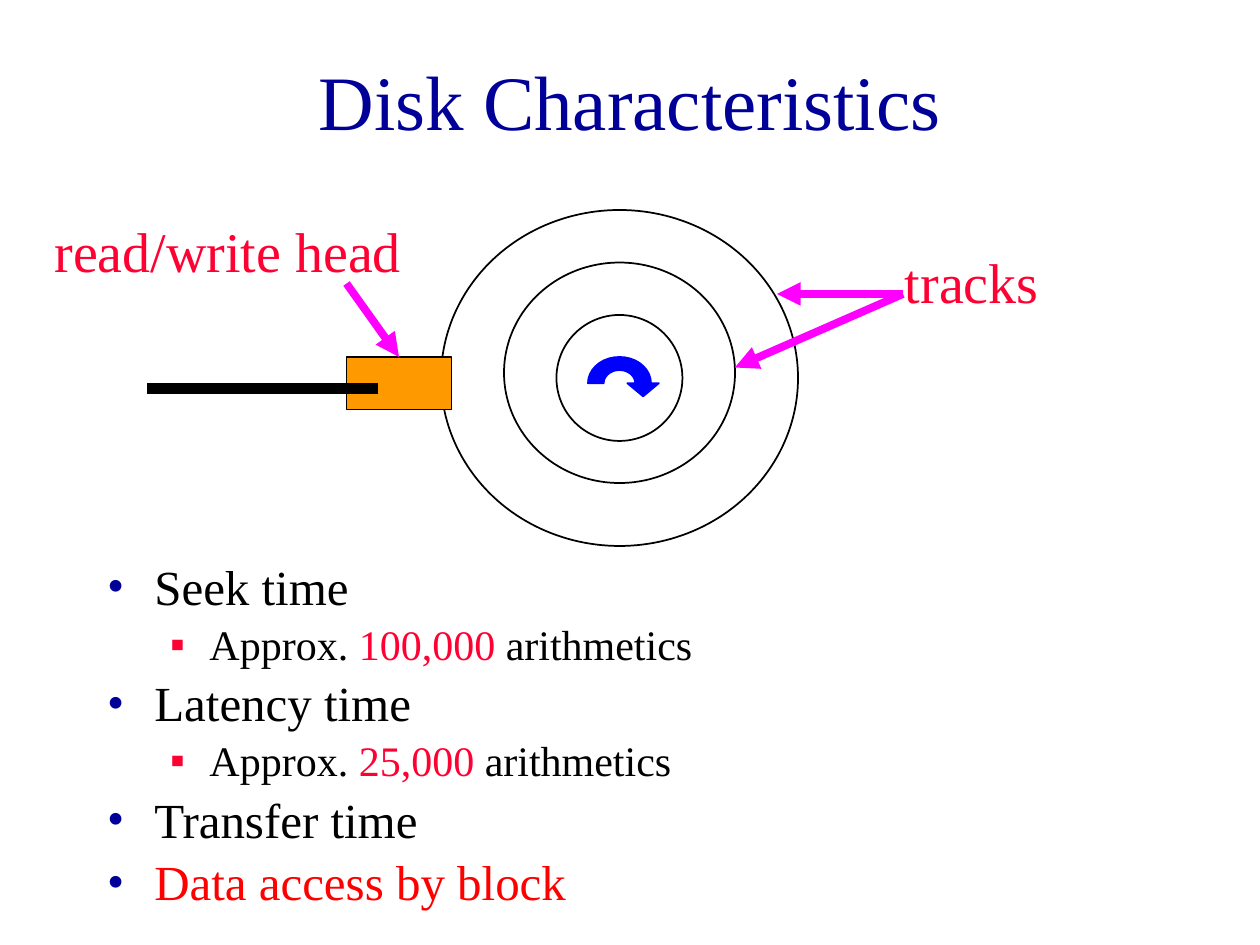
import math
from dataclasses import dataclass

import pptx
import pptx.dml.color
import pptx.enum.shapes
import pptx.enum.text
import pptx.oxml
import pptx.oxml.ns
import pptx.util

Pt = pptx.util.Pt
SHAPE = pptx.enum.shapes.MSO_SHAPE


@dataclass(frozen=True)
class Theme:
    font: str = "Times New Roman"
    navy: str = "000099"
    black: str = "000000"
    crimson: str = "FF0033"
    red: str = "FF0000"
    orange: str = "FF9900"
    magenta: str = "FF00FF"
    blue: str = "0000FF"
    title: int = 44
    label: int = 32
    levels: tuple = (28, 24)
    bullets: tuple = (("•", navy), ("▪", crimson))
    outline: float = 1
    pointer: float = 4.5
    arm: float = 6


T = Theme()

ITEMS = [
    (0, [("Seek time", T.black)]),
    (1, [("Approx. ", T.black), ("100,000 ", T.crimson), ("arithmetics", T.black)]),
    (0, [("Latency time", T.black)]),
    (1, [("Approx. ", T.black), ("25,000 ", T.crimson), ("arithmetics", T.black)]),
    (0, [("Transfer time", T.black)]),
    (0, [("Data access by block", T.red)]),
]


def rgb(color):
    return pptx.dml.color.RGBColor.from_string(color)


def add_xml(parent, tag, **attrs):
    el = pptx.oxml.parse_xml(f"<a:{tag} {pptx.oxml.ns.nsdecls('a')}/>")
    for name, value in attrs.items():
        el.set(name, value)
    parent.append(el)
    return el


def place(sp, box):
    sp.left, sp.top, sp.width, sp.height = map(Pt, box)


def set_font(font, size, color=None):
    font.name = T.font
    font.size = Pt(size)
    if color:
        font.color.rgb = rgb(color)


def paint(sp, fill, line):
    sp.shadow.inherit = False
    if fill:
        sp.fill.solid()
        sp.fill.fore_color.rgb = rgb(fill)
    else:
        sp.fill.background()
    sp.line.color.rgb = rgb(line)
    sp.line.width = Pt(T.outline)


def add_shape(s, kind, box, fill=None):
    paint(s.shapes.add_shape(kind, *map(Pt, box)), fill, T.black)


def add_line(s, start, end, color, width, arrow=False):
    sp = s.shapes.add_connector(
        pptx.enum.shapes.MSO_CONNECTOR.STRAIGHT, *map(Pt, (*start, *end)))
    sp.line.color.rgb = rgb(color)
    sp.line.width = Pt(width)
    if arrow:
        add_xml(sp.line._get_or_add_ln(), "tailEnd", type="triangle")
    add_xml(sp._element.spPr, "effectLst")


def add_label(s, text, box):
    tf = s.shapes.add_textbox(*map(Pt, box)).text_frame
    tf.word_wrap = True
    p = tf.paragraphs[0]
    p.text = text
    set_font(p.font, T.label, T.crimson)


def add_title(s, text, box):
    sp = s.shapes.title
    place(sp, box)
    tf = sp.text_frame
    tf.text = text
    tf.vertical_anchor = pptx.enum.text.MSO_ANCHOR.MIDDLE
    tf.auto_size = pptx.enum.text.MSO_AUTO_SIZE.NONE
    set_font(tf.paragraphs[0].font, T.title, T.navy)


def add_list(s, items, box):
    sp = s.placeholders[1]
    place(sp, box)
    tf = sp.text_frame
    tf.auto_size = pptx.enum.text.MSO_AUTO_SIZE.NONE
    for i, (level, runs) in enumerate(items):
        p = tf.add_paragraph() if i else tf.paragraphs[0]
        p.level = level
        char, color = T.bullets[level]
        pPr = p._p.get_or_add_pPr()
        add_xml(add_xml(pPr, "buClr"), "srgbClr", val=color)
        add_xml(pPr, "buFont", typeface=T.font)
        add_xml(pPr, "buChar", char=char)
        p.line_spacing = 0.9
        if i == 0:
            p.space_before = Pt(0)
        set_font(p.font, T.levels[level])
        for text, run_color in runs:
            r = p.add_run()
            r.text = text
            r.font.color.rgb = rgb(run_color)


def add_rotation_arrow(s, cx, cy):
    def arc(rx, ry, angles):
        return [(cx + rx * math.cos(math.radians(a)),
                 cy - ry * math.sin(math.radians(a))) for a in angles]

    points = arc(9, 7.5, range(0, 181, 10)) + arc(18, 15, range(180, -1, -10))
    points += [(cx + 22.5, cy), (cx + 13.5, cy + 7.5), (cx + 4.5, cy)]
    start, *rest = [(Pt(x), Pt(y)) for x, y in points]
    builder = s.shapes.build_freeform(*start)
    builder.add_line_segments(rest, close=True)
    paint(builder.convert_to_shape(), T.blue, T.blue)


def add_disk(s, box):
    left, top, _, _ = box

    def at(x, y, *size):
        return (left + x, top + y, *size)

    for ring in ((228, 0, 204, 192), (264, 30, 132, 126), (294, 60, 72, 72)):
        add_shape(s, SHAPE.OVAL, at(*ring))
    add_shape(s, SHAPE.RECTANGLE, at(174, 84, 60, 30), T.orange)
    add_line(s, at(192, 102), at(60, 102), T.black, T.arm)
    add_label(s, "tracks", at(486, 18, 180, 45))
    add_label(s, "read/write head", at(0, 0, 234, 45))
    for start, end in (((174, 42), (204, 84)),
                       ((492, 48), (396, 90)),
                       ((492, 48), (420, 48))):
        add_line(s, at(*start), at(*end), T.magenta, T.pointer, arrow=True)
    add_rotation_arrow(s, *at(330, 99))


def main():
    prs = pptx.Presentation()
    prs.slide_width, prs.slide_height = Pt(720), Pt(540)
    s = prs.slides.add_slide(prs.slide_layouts[1])
    add_title(s, "Disk Characteristics", (54, 12, 612, 90))
    add_list(s, ITEMS, (54, 318, 612, 186))
    add_disk(s, (24, 120, 666, 192))
    prs.save("out.pptx")


if __name__ == "__main__":
    main()
